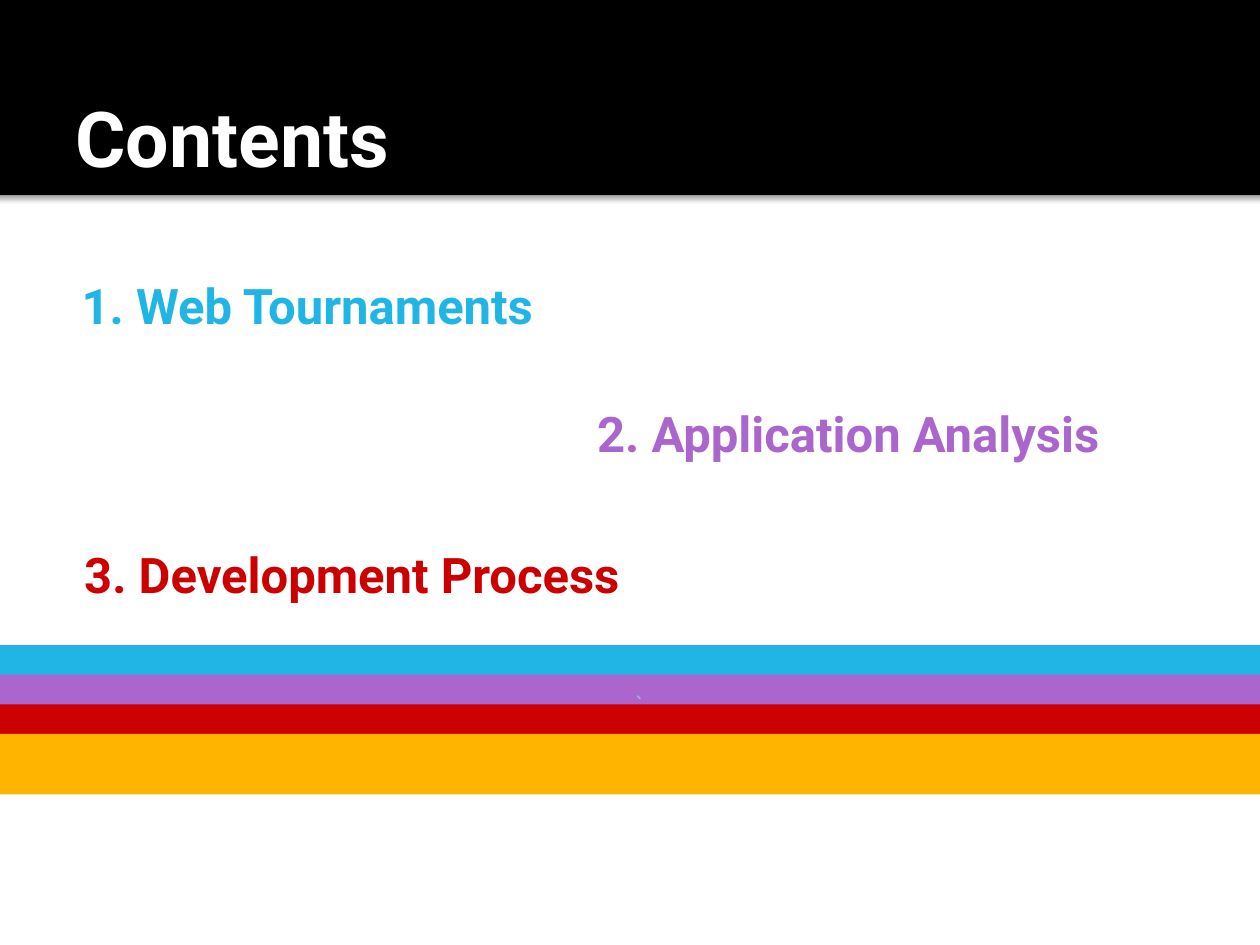
from lxml import etree
from pptx import Presentation
from pptx.dml.color import RGBColor
from pptx.enum.shapes import MSO_SHAPE
from pptx.enum.text import MSO_ANCHOR, PP_ALIGN
from pptx.oxml.ns import qn
from pptx.util import Emu, Inches, Pt

RECTANGLE = MSO_SHAPE.RECTANGLE
BOTTOM, MIDDLE = MSO_ANCHOR.BOTTOM, MSO_ANCHOR.MIDDLE
LEFT, CENTER = PP_ALIGN.LEFT, PP_ALIGN.CENTER

BLACK = RGBColor(0x00, 0x00, 0x00)
WHITE = RGBColor(0xFF, 0xFF, 0xFF)
BLUE = RGBColor(0x21, 0xB5, 0xE5)
PURPLE = RGBColor(0xAA, 0x66, 0xCC)
RED = RGBColor(0xCC, 0x00, 0x00)
AMBER = RGBColor(0xFF, 0xB4, 0x00)
PALE_BLUE = RGBColor(0x95, 0xB3, 0xD7)
FONT = "Roboto"

HEADING = "Contents"
# text, colour, left, top, width
TOPICS = [
    ("1. Web Tournaments", BLUE, 0.55, 2.14, 3.86),
    ("2. Application Analysis", PURPLE, 4.64, 3.15, 4.21),
    ("3. Development Process", RED, 0.57, 4.27, 4.48),
]
TOPIC_HEIGHT = 0.57
# colour, left, width, text
STRIPES = [
    (BLUE, 0, 10.23, ""),
    (PURPLE, -0.16, 10.47, "`"),
    (RED, -0.31, 10.47, ""),
    (AMBER, -0.16, 10.39, ""),
]
STRIPE_TOP, STRIPE_STEP, STRIPE_HEIGHT = 5.12, 0.235, 0.48


def add_band(slide, color, left, top, width, height):
    band = slide.shapes.add_shape(
        RECTANGLE, Inches(left), Inches(top), Inches(width), Inches(height))
    band.shadow.inherit = False
    band.fill.solid()
    band.fill.fore_color.rgb = color
    band.line.fill.background()
    return band


def add_soft_shadow(band):
    effects = band.fill._xPr.find(qn("a:effectLst"))
    shadow = etree.SubElement(
        effects, qn("a:outerShdw"), blurRad=str(Emu(40000)),
        dist=str(Emu(23000)), dir="5400000", rotWithShape="0")
    color = etree.SubElement(shadow, qn("a:srgbClr"), val=str(BLACK))
    etree.SubElement(color, qn("a:alpha"), val="35000")


def write(frame, text, size, color, bold=True, align=LEFT):
    frame.text = text
    paragraph = frame.paragraphs[0]
    paragraph.alignment = align
    font = paragraph.font
    font.name, font.size, font.bold = FONT, Pt(size), bold
    font.color.rgb = color


def add_heading(slide):
    title = slide.shapes.title
    title.left, title.top = Inches(0.5), Inches(0.61)
    title.width, title.height = Inches(9), Inches(0.94)
    frame = title.text_frame
    frame.vertical_anchor = BOTTOM
    frame.margin_left = frame.margin_right = Inches(0.1)
    frame.margin_top = frame.margin_bottom = Inches(0.1)
    write(frame, HEADING, 44, WHITE)
    # Bring the title in front of the header band
    slide.shapes._spTree.append(title._element)


def main():
    prs = Presentation()
    prs.slide_width, prs.slide_height = Inches(10), Inches(7.5)
    slide = prs.slides.add_slide(prs.slide_layouts[5])

    header = add_band(slide, BLACK, -0.11, -0.08, 10.22, 1.63)
    add_soft_shadow(header)
    add_heading(slide)

    for row, (color, left, width, mark) in enumerate(STRIPES):
        top = STRIPE_TOP + row * STRIPE_STEP
        stripe = add_band(slide, color, left, top, width, STRIPE_HEIGHT)
        if mark:
            stripe.text_frame.vertical_anchor = MIDDLE
            write(stripe.text_frame, mark, 14, PALE_BLUE, False, CENTER)

    for text, color, left, top, width in TOPICS:
        topic = slide.shapes.add_textbox(
            Inches(left), Inches(top), Inches(width), Inches(TOPIC_HEIGHT))
        topic.text_frame.word_wrap = False
        write(topic.text_frame, text, 28, color)

    prs.save("out.pptx")


if __name__ == "__main__":
    main()
